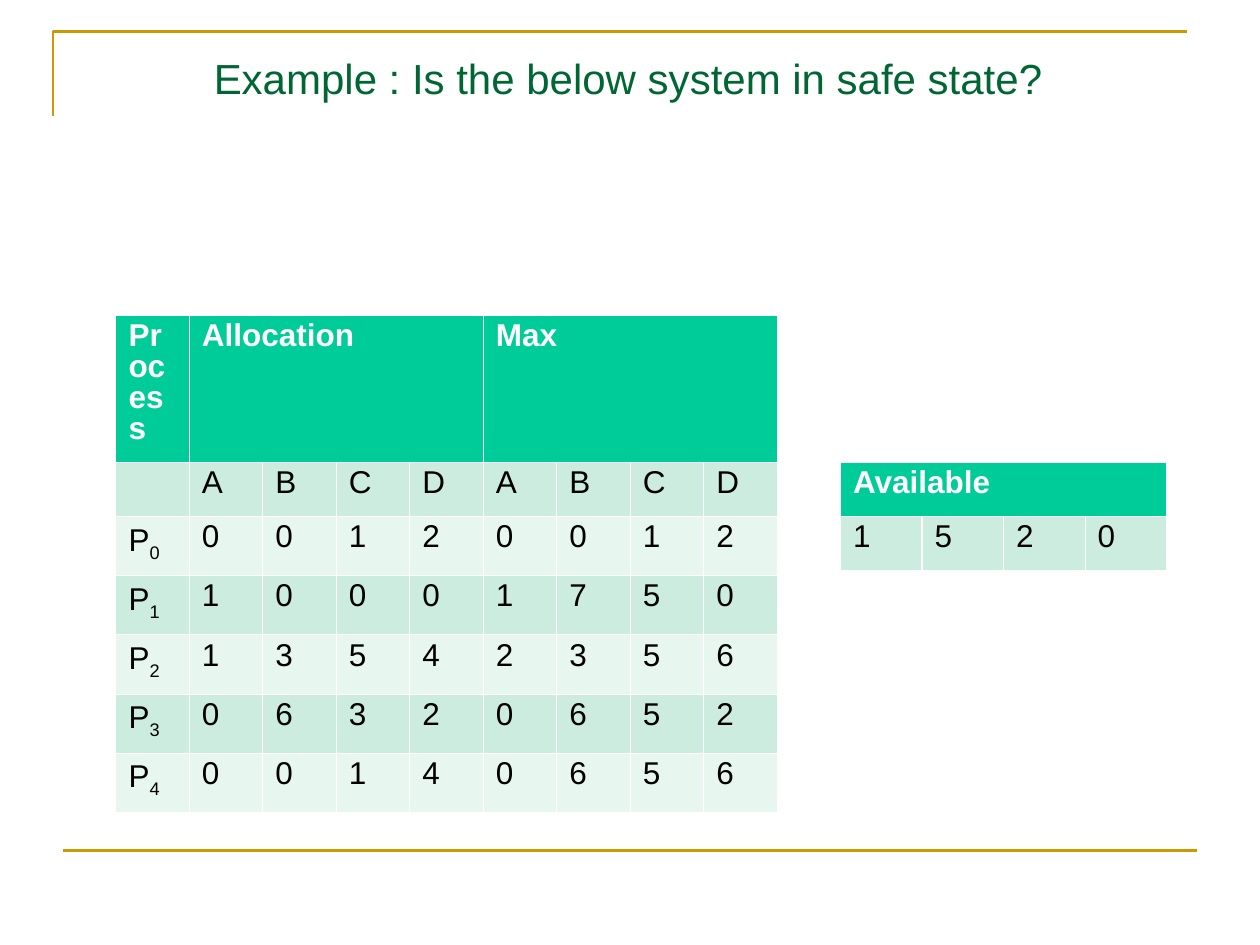
from lxml.etree import SubElement
from pptx import Presentation
from pptx.dml.color import RGBColor
from pptx.enum.shapes import MSO_CONNECTOR
from pptx.enum.text import MSO_ANCHOR, PP_ALIGN
from pptx.oxml.ns import qn
from pptx.util import Inches, Pt

TITLE = "Example : Is the below system in safe state?"
PROCESS_HEADERS = [("Process", 1), ("Allocation", 4), ("Max", 4)]
PROCESS_ROWS = [
    ["", *"ABCDABCD"],
    ["P0", *"00120012"],
    ["P1", *"10001750"],
    ["P2", *"13542356"],
    ["P3", *"06320652"],
    ["P4", *"00140656"],
]
PROCESS_HEIGHTS = [1.17, 0.43] + [0.47] * 5
AVAILABLE_HEADERS = [("Available", 4)]
AVAILABLE_ROWS = [[*"1520"]]
AVAILABLE_HEIGHTS = [0.43, 0.43]

FONT = "Arial"
GOLD, GREEN, WHITE, BLACK = "CC9900", "006633", "FFFFFF", "000000"
HEADER_FILL = "00CC99"
BAND_FILLS = ["CBECDE", "E7F6EF"]


def color(hex_value):
    return RGBColor.from_string(hex_value)


def style_line(shape):
    shape.line.color.rgb = color(GOLD)
    shape.line.width = Pt(1.5)


def style_font(paragraph, size, hex_value, bold=False):
    font = paragraph.font
    font.name, font.size, font.bold = FONT, Pt(size), bold
    font.color.rgb = color(hex_value)


def add_borders(cell):
    properties = cell._tc.get_or_add_tcPr()
    for index, side in enumerate(("lnL", "lnR", "lnT", "lnB")):
        border = properties.makeelement(qn(f"a:{side}"), {"w": str(Pt(0.75))})
        fill = SubElement(border, qn("a:solidFill"))
        SubElement(fill, qn("a:srgbClr"), val=WHITE)
        properties.insert(index, border)


def fill_cell(cell, text, fill, hex_value, bold=False):
    cell.fill.solid()
    cell.fill.fore_color.rgb = color(fill)
    add_borders(cell)
    paragraph = cell.text_frame.paragraphs[0]
    paragraph.line_spacing = 0.88
    style_font(paragraph, 18, hex_value, bold)
    if text:
        paragraph.add_run().text = text[0] if text[1:].isdigit() else text
    if text[1:].isdigit():
        subscript = paragraph.add_run()
        subscript.text = text[1:]
        subscript.font._element.set("baseline", "-25000")


def add_banded_table(slide, left, top, width, headers, rows, heights):
    columns = len(rows[0])
    table = slide.shapes.add_table(
        len(heights), columns, Inches(left), Inches(top),
        Inches(width), Inches(sum(heights))).table
    for row, height in zip(table.rows, heights):
        row.height = Inches(height)
    for column in table.columns:
        column.width = Inches(width / columns)
    start = 0
    for text, span in headers:
        end = start + span
        fill_cell(table.cell(0, start), text, HEADER_FILL, WHITE, bold=True)
        for index in range(start + 1, end):
            fill_cell(table.cell(0, index), "", HEADER_FILL, WHITE)
        if span > 1:
            table.cell(0, start).merge(table.cell(0, end - 1))
        start = end
    for row_index, row in enumerate(rows):
        for column_index, text in enumerate(row):
            fill_cell(table.cell(row_index + 1, column_index), text,
                      BAND_FILLS[row_index % 2], BLACK)


presentation = Presentation()
presentation.slide_width, presentation.slide_height = Inches(10), Inches(7.5)
slide = presentation.slides.add_slide(presentation.slide_layouts[5])

builder = slide.shapes.build_freeform(Inches(0.42), Inches(0.92))
builder.add_line_segments(
    [(Inches(0.42), Inches(0.25)), (Inches(9.42), Inches(0.25))], close=False)
corner = builder.convert_to_shape()
corner.fill.background()
corner.shadow.inherit = False
style_line(corner)

footer_rule = slide.shapes.add_connector(
    MSO_CONNECTOR.STRAIGHT, Inches(0.5), Inches(6.75), Inches(9.5), Inches(6.75))
style_line(footer_rule)
SubElement(footer_rule._element.spPr, qn("a:effectLst"))

title = slide.shapes.title
title.left, title.top = Inches(0.5), Inches(0.33)
title.width, title.height = Inches(8.97), Inches(0.58)
title.text_frame.text = TITLE
title.text_frame.vertical_anchor = MSO_ANCHOR.MIDDLE
title_paragraph = title.text_frame.paragraphs[0]
title_paragraph.alignment = PP_ALIGN.CENTER
style_font(title_paragraph, 24, GREEN)

add_banded_table(slide, 0.92, 2.5, 5.25,
                 PROCESS_HEADERS, PROCESS_ROWS, PROCESS_HEIGHTS)
add_banded_table(slide, 6.67, 3.67, 2.59,
                 AVAILABLE_HEADERS, AVAILABLE_ROWS, AVAILABLE_HEIGHTS)

presentation.save("out.pptx")
